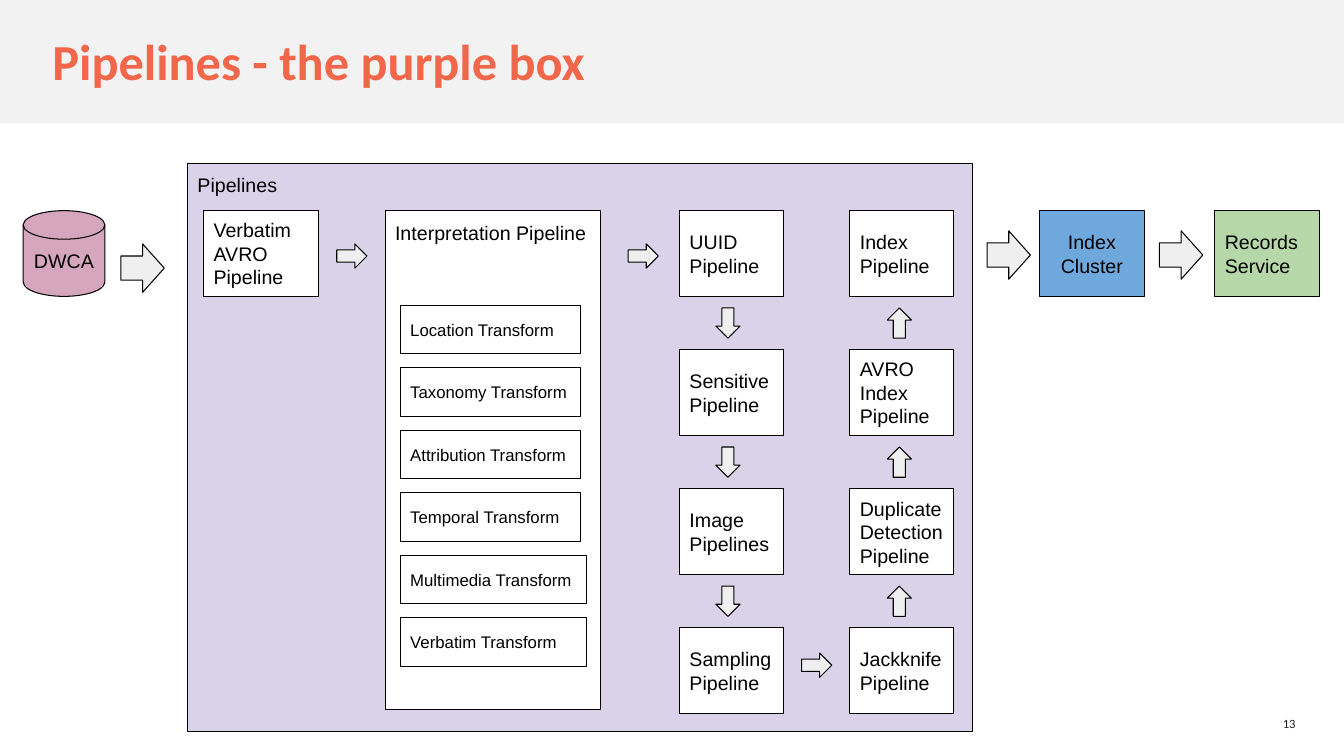
"""Build the slide that shows the steps inside the purple pipelines box."""
from pptx import Presentation
from pptx.dml.color import RGBColor
from pptx.enum.shapes import MSO_SHAPE
from pptx.enum.text import MSO_ANCHOR, PP_ALIGN
from pptx.util import Inches, Pt

BLACK = RGBColor(0x00, 0x00, 0x00)
WHITE = RGBColor(0xFF, 0xFF, 0xFF)
BAND_GREY = RGBColor(0xF2, 0xF2, 0xF2)
ARROW_GREY = RGBColor(0xEF, 0xEF, 0xEF)
ORANGE = RGBColor(0xF2, 0x66, 0x49)
NUMBER_GREY = RGBColor(0x21, 0x21, 0x21)
PURPLE = RGBColor(0xD9, 0xD2, 0xE9)
PINK = RGBColor(0xD5, 0xA6, 0xBD)
BLUE = RGBColor(0x6F, 0xA8, 0xDC)
GREEN = RGBColor(0xB6, 0xD7, 0xA8)

TOP, STEP_HEIGHT, ROW_PITCH = 2.09, 0.85, 1.38
STEP_WIDTH = 1.03
DOWN_COLUMN, UP_COLUMN = 6.74, 8.43
TRANSFORM_TOP, TRANSFORM_PITCH = 3.03, 0.62


def write(shape, lines, size, color, font="Arial", bold=False, inset=0.1,
          align=PP_ALIGN.LEFT, anchor=MSO_ANCHOR.MIDDLE):
    frame = shape.text_frame
    frame.word_wrap = True
    frame.vertical_anchor = anchor
    frame.margin_left = frame.margin_right = Inches(inset)
    frame.margin_top = frame.margin_bottom = Inches(inset)
    for index, line in enumerate(lines):
        paragraph = frame.add_paragraph() if index else frame.paragraphs[0]
        paragraph.alignment = align
        run = paragraph.add_run()
        run.text = line
        run.font.name = font
        run.font.size = Pt(size)
        run.font.bold = bold
        run.font.color.rgb = color


def draw(kind, left, top, width, height, fill):
    shape = slide.shapes.add_shape(
        kind, Inches(left), Inches(top), Inches(width), Inches(height))
    shape.shadow.inherit = False
    shape.fill.solid()
    shape.fill.fore_color.rgb = fill
    shape.line.color.rgb = BLACK
    shape.line.width = Pt(0.75)
    return shape


deck = Presentation()
deck.slide_width, deck.slide_height = Inches(13.33), Inches(7.5)
slide = deck.slides.add_slide(deck.slide_layouts[5])

title = slide.shapes.title
title.left, title.top = Inches(0.52), Inches(0.19)
title.width, title.height = Inches(9.73), Inches(0.82)
write(title, ["Pipelines - the purple box"], 36, ORANGE, "Calibri", True, 0)

band = draw(MSO_SHAPE.RECTANGLE, 0, 0, 13.33, 1.22, BAND_GREY)
band.line.fill.background()
title.element.addprevious(band.element)

page_number = slide.shapes.add_textbox(
    Inches(12.42), Inches(7.06), Inches(0.43), Inches(0.24))
write(page_number, ["13"], 9, NUMBER_GREY, "Calibri", inset=0,
      align=PP_ALIGN.RIGHT)

pipelines = draw(MSO_SHAPE.RECTANGLE, 1.86, 1.62, 7.79, 5.64, PURPLE)
write(pipelines, ["Pipelines"], 14, BLACK, anchor=MSO_ANCHOR.TOP)

interpretation = draw(MSO_SHAPE.RECTANGLE, 3.82, TOP, 2.14, 4.95, WHITE)
write(interpretation, ["Interpretation Pipeline"], 14, BLACK,
      anchor=MSO_ANCHOR.TOP)

transforms = [("Location", 1.79), ("Taxonomy", 1.79), ("Attribution", 1.79),
              ("Temporal", 1.79), ("Multimedia", 1.85), ("Verbatim", 1.85)]
for row, (subject, width) in enumerate(transforms):
    transform = draw(MSO_SHAPE.RECTANGLE, 3.97,
                     TRANSFORM_TOP + row * TRANSFORM_PITCH, width, 0.48, WHITE)
    write(transform, [f"{subject} Transform"], 12, BLACK)

end_points = [
    (MSO_SHAPE.FLOWCHART_MAGNETIC_DISK, 0.23, 0.81, PINK, ["DWCA"], PP_ALIGN.CENTER),
    (MSO_SHAPE.RECTANGLE, 2.02, 1.14, WHITE, ["Verbatim AVRO", "Pipeline"], PP_ALIGN.LEFT),
    (MSO_SHAPE.RECTANGLE, 10.31, 1.04, BLUE, ["Index", "Cluster"], PP_ALIGN.CENTER),
    (MSO_SHAPE.RECTANGLE, 12.05, 1.04, GREEN, ["Records", "Service"], PP_ALIGN.LEFT),
]
for kind, left, width, fill, lines, align in end_points:
    end_point = draw(kind, left, TOP, width, STEP_HEIGHT, fill)
    write(end_point, lines, 14, BLACK, align=align)

step_columns = [
    (DOWN_COLUMN, MSO_SHAPE.DOWN_ARROW, 7.1,
     [["UUID", "Pipeline"], ["Sensitive", "Pipeline"],
      ["Image", "Pipelines"], ["Sampling", "Pipeline"]]),
    (UP_COLUMN, MSO_SHAPE.UP_ARROW, 8.8,
     [["Index", "Pipeline"], ["AVRO", "Index", "Pipeline"],
      ["Duplicate", "Detection", "Pipeline"], ["Jackknife", "Pipeline"]]),
]
for left, arrow_kind, arrow_left, steps in step_columns:
    for row, lines in enumerate(steps):
        step_top = TOP + row * ROW_PITCH
        step = draw(MSO_SHAPE.RECTANGLE, left, step_top,
                    STEP_WIDTH, STEP_HEIGHT, WHITE)
        write(step, lines, 14, BLACK)
        if row:
            gap_middle = step_top - (ROW_PITCH - STEP_HEIGHT) / 2
            draw(arrow_kind, arrow_left, gap_middle - 0.15, 0.24, 0.3, ARROW_GREY)

for left, top in [(3.34, 2.42), (6.23, 2.42), (7.95, 6.48)]:
    draw(MSO_SHAPE.RIGHT_ARROW, left, top, 0.3, 0.24, ARROW_GREY)
for left, top in [(1.2, 2.42), (9.79, 2.29), (11.5, 2.29)]:
    draw(MSO_SHAPE.RIGHT_ARROW, left, top, 0.43, 0.48, ARROW_GREY)

deck.save("out.pptx")
